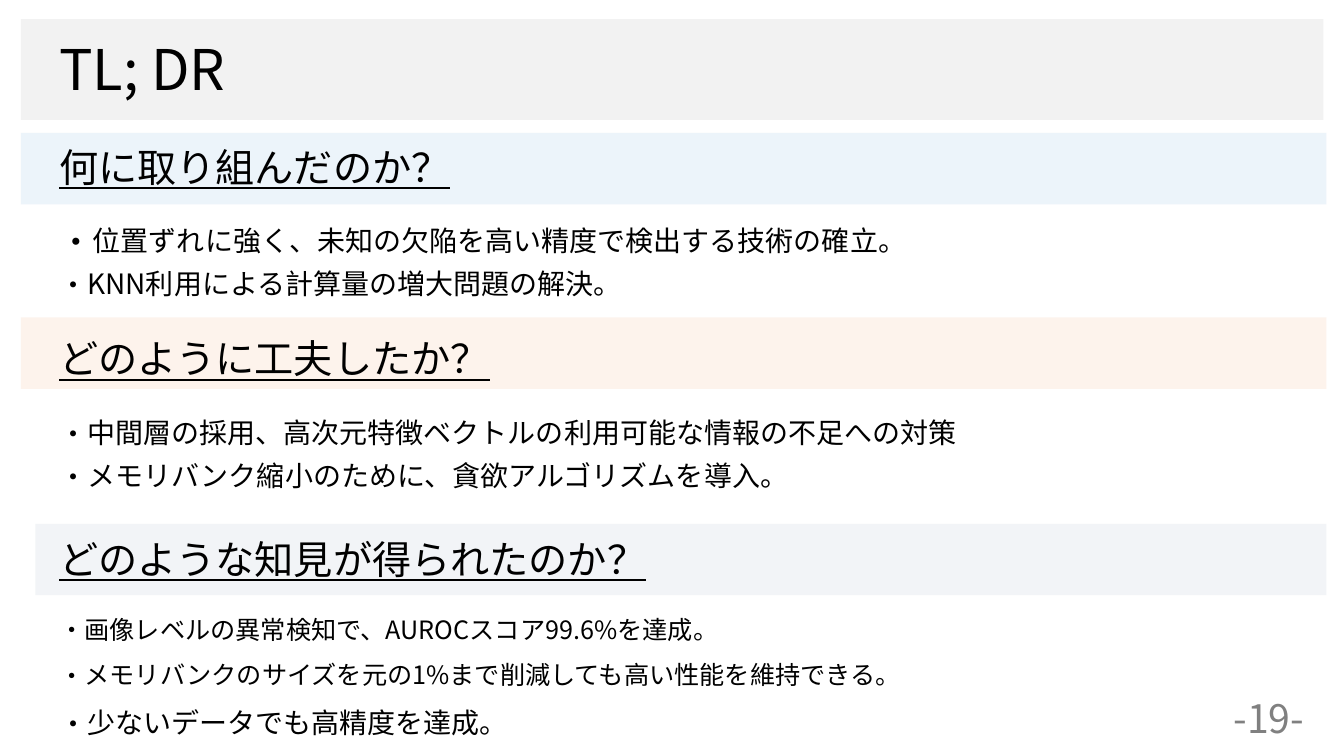
from dataclasses import dataclass
from lxml.etree import SubElement
from pptx import Presentation
from pptx.dml.color import RGBColor
from pptx.enum.shapes import MSO_SHAPE
from pptx.enum.text import MSO_ANCHOR, MSO_AUTO_SIZE, PP_ALIGN
from pptx.oxml.ns import qn
from pptx.util import Cm, Pt


@dataclass(frozen=True)
class Theme:
    font: str = "Noto Sans CJK JP"
    ink: str = "000000"
    gray: str = "808080"
    bar: str = "F2F2F2"
    title: int = 40
    head: int = 28
    page: int = 28


THEME = Theme()
TITLE = "TL; DR"
PAGE = "-19-"

# Lengths in cm; sizes, bullet percentages and gaps apply to the list lines.
SECTIONS = [
    dict(head="何に取り組んだのか？", color="DEEBF7", alpha=55,
         band=(0.53, 3.35), head_top=3.48, list_top=5.5, gap=6.8,
         lines=[("位置ずれに強く、未知の欠陥を高い精度で検出する技術の確立。", 20, 120),
                ("KNN利用による計算量の増大問題の解決。", 20, 100)]),
    dict(head="どのように工夫したか？", color="FBE5D6", alpha=44,
         band=(0.53, 8), head_top=8.31, list_top=10.34, gap=6.8,
         lines=[("中間層の採用、高次元特徴ベクトルの利用可能な情報の不足への対策", 20, 100),
                ("メモリバンク縮小のために、貪欲アルゴリズムを導入。", 20, 100)]),
    dict(head="どのような知見が得られたのか？", color="D6DCE5", alpha=30,
         band=(0.89, 13.2), head_top=13.36, list_top=15.34, gap=11,
         lines=[("画像レベルの異常検知で、AUROCスコア99.6%を達成。", 18, 100),
                ("メモリバンクのサイズを元の1%まで削減しても高い性能を維持できる。", 18, 100),
                ("少ないデータでも高精度を達成。", 20, 100)]),
]

LEFT, WIDTH = 1.24, 32.18
RIGHT, BAND_H, HEAD_H, ROW_H = 33.43, 1.8, 1.45, 1.24


def place(shape, left, top, width, height):
    shape.left, shape.top = Cm(left), Cm(top)
    shape.width, shape.height = Cm(width), Cm(height)


def setup(frame, anchor=MSO_ANCHOR.TOP):
    frame.word_wrap = True
    frame.auto_size = MSO_AUTO_SIZE.NONE
    frame.vertical_anchor = anchor


def style(para, size, color=THEME.ink, align=PP_ALIGN.LEFT, under=None):
    para.alignment = align
    para.line_spacing = 1.0
    for run in para.runs:
        font = run.font
        font.name, font.size, font.bold = THEME.font, Pt(size), False
        font.underline = under
        font.color.rgb = RGBColor.from_string(color)
        SubElement(font._element, qn("a:ea"), typeface=THEME.font)


def bullet(para, size, scale):
    """Hang a full-width dot in front of the line; scale is in percent."""
    props = para._p.get_or_add_pPr()
    hang = Pt(size * scale / 100)
    props.set("marL", str(hang))
    props.set("indent", str(-hang))
    SubElement(props, qn("a:buSzPct"), val=str(scale * 1000))
    SubElement(props, qn("a:buFont"), typeface=THEME.font)
    SubElement(props, qn("a:buChar"), char="・")


def add_band(slide, box, color, alpha=100):
    """Add a borderless strip behind the placeholders."""
    band = slide.shapes.add_shape(MSO_SHAPE.RECTANGLE, *map(Cm, box))
    band.shadow.inherit = False
    band.line.fill.background()
    band.fill.solid()
    band.fill.fore_color.rgb = RGBColor.from_string(color)
    if alpha < 100:
        tone = band.element.spPr.find(".//" + qn("a:srgbClr"))
        SubElement(tone, qn("a:alpha"), val=str(alpha * 1000))
    slide.shapes.title.element.addprevious(band.element)


def add_label(slide, box, text, size, anchor=MSO_ANCHOR.TOP, **look):
    frame = slide.shapes.add_textbox(*map(Cm, box)).text_frame
    setup(frame, anchor)
    frame.text = text
    style(frame.paragraphs[0], size, **look)


def fill_list(body, part):
    lines = part["lines"]
    place(body, LEFT, part["list_top"], WIDTH, ROW_H * len(lines))
    frame = body.text_frame
    setup(frame)
    frame.text = "\n".join(text for text, _, _ in lines)
    for row, (para, (_, size, scale)) in enumerate(zip(frame.paragraphs, lines)):
        style(para, size)
        para.space_before = Pt(part["gap"] if row else 0)
        para.space_after = Pt(0)
        bullet(para, size, scale)


def main():
    deck = Presentation()
    deck.slide_width, deck.slide_height = Cm(33.87), Cm(19.05)
    slide = deck.slides.add_slide(deck.slide_layouts[4])
    title, *bodies = slide.placeholders

    add_band(slide, (0.53, 0.48, 32.82, 2.54), THEME.bar)
    place(title, LEFT, 0.74, 19.8, 1.96)
    setup(title.text_frame)
    title.text_frame.text = TITLE
    style(title.text_frame.paragraphs[0], THEME.title)

    for part, body in zip(SECTIONS, bodies):
        left, top = part["band"]
        add_band(slide, (left, top, RIGHT - left, BAND_H),
                 part["color"], part["alpha"])
        add_label(slide, (LEFT, part["head_top"], 18, HEAD_H),
                  part["head"], THEME.head, under=True)
        fill_list(body, part)
    for spare in bodies[len(SECTIONS):]:
        spare.element.getparent().remove(spare.element)

    add_label(slide, (30.53, 17.53, 2.9, 1.12), PAGE, THEME.page,
              MSO_ANCHOR.MIDDLE, color=THEME.gray, align=PP_ALIGN.CENTER)
    deck.save("out.pptx")


if __name__ == "__main__":
    main()
